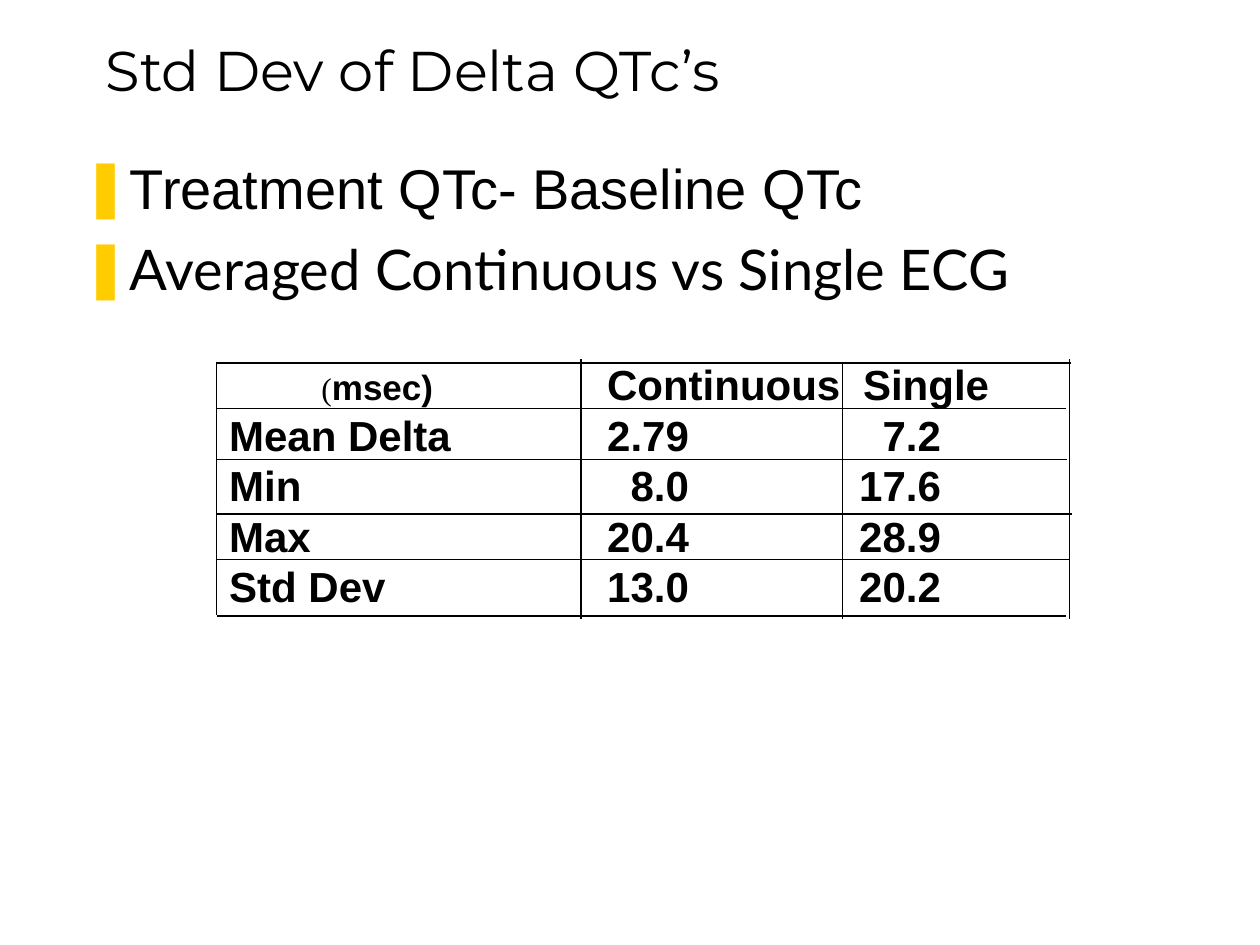
from lxml import etree
from pptx import Presentation
from pptx import util as u
from pptx.dml.color import RGBColor
from pptx.enum import shapes, text
from pptx.oxml.ns import qn

# Content: runs are (text, size, font, bold)
title = ("Std Dev of Delta QTc’s", 32, "Montserrat", False)
points = [
    ("Treatment QTc- Baseline QTc", 32, "Arial", False),
    ("Averaged Continuous vs Single ECG", 32, "Lato", False),
]
head = [
    ("\t(", 18, "Times New Roman", False),
    ("msec)", 20, "Arial", True),
    ("\tContinuous\tSingle", 24, "Arial", True),
]
body = [
    ("Mean Delta", "2.79", "7.2"),
    ("Min", "8.0", "17.6"),
    ("Max", "20.4", "28.9"),
    ("Std Dev", "13.0", "20.2"),
]

# Tab stops in cm: header row, then rows of figures
tops = [(4.4, "l"), (10.16, "l"), (15.32, "l")]
stops = [(2.54, "l"), (11.81, "r"), (16.89, "r")]

# Rules in cm: columns as (x, top, bottom), rows as (y, right end)
edge = 4.37
cols = [(edge, 7.29, 12.4), (11.71, 7.24, 12.47),
        (16.99, 7.29, 12.47), (21.56, 7.24, 12.47)]
rows = [(7.32, 21.59), (8.23, 21.49), (9.27, 21.51),
        (10.36, 21.62), (11.28, 21.56), (12.42, 21.49)]
black, gold = "000000", "FFCC00"


def color(code):
    return RGBColor.from_string(code)


def write(para, runs):
    for words, size, face, bold in runs:
        run = para.add_run()
        run.text = words
        font = run.font
        font.size, font.name, font.bold = u.Pt(size), face, bold
        font.color.rgb = color(black)


def add_box(x, y, w, h, anchor=text.MSO_ANCHOR.TOP):
    frame = slide.shapes.add_textbox(u.Cm(x), u.Cm(y), u.Cm(w), u.Cm(h)).text_frame
    frame.word_wrap = True
    frame.vertical_anchor = anchor
    return frame


def add_mark(para):
    props = para._p.get_or_add_pPr()
    props.set("marL", str(u.Cm(0.95)))
    props.set("indent", str(-u.Cm(0.95)))
    tint = etree.SubElement(props, qn("a:buClr"))
    etree.SubElement(tint, qn("a:srgbClr"), val=gold)
    etree.SubElement(props, qn("a:buFont"), typeface="Arial")
    etree.SubElement(props, qn("a:buChar"), char="❚")


def add_tabs(para, tabs):
    group = etree.SubElement(para._p.get_or_add_pPr(), qn("a:tabLst"))
    for place, side in tabs:
        etree.SubElement(group, qn("a:tab"), pos=str(u.Cm(place)), algn=side)


def add_rule(x1, y1, x2, y2):
    rule = slide.shapes.add_connector(
        shapes.MSO_CONNECTOR.STRAIGHT, u.Cm(x1), u.Cm(y1), u.Cm(x2), u.Cm(y2))
    rule.line.color.rgb = color(black)
    rule.line.width = u.Pt(0.75)
    etree.SubElement(rule._element.spPr, qn("a:effectLst"))


deck = Presentation()
deck.slide_width, deck.slide_height = u.Cm(25.4), u.Cm(19.05)
slide = deck.slides.add_slide(deck.slide_layouts[6])

# Title
frame = add_box(1.88, 0.52, 22.58, 1.68, text.MSO_ANCHOR.BOTTOM)
write(frame.paragraphs[0], [title])

# Figures, set in columns by tab stops
lines = [(tops, head)]
lines += [(stops, [("\t" + "\t".join(row), 24, "Arial", True)]) for row in body]
frame = add_box(1.83, 7.11, 19.7, 5.4)
for i, (tabs, runs) in enumerate(lines):
    para = frame.add_paragraph() if i else frame.paragraphs[0]
    add_tabs(para, tabs)
    para.line_spacing = u.Pt(28.8)
    write(para, runs)

# Rules around the figures
for x, top, low in cols:
    add_rule(x, top, x, low)
for y, end in rows:
    add_rule(edge, y, end, y)

# Bullet points
frame = add_box(1.42, 2.97, 23.29, 3.8)
for i, point in enumerate(points):
    para = frame.add_paragraph() if i else frame.paragraphs[0]
    add_mark(para)
    if i:
        para.space_before = u.Pt(8)
    write(para, [point])

deck.save("out.pptx")
